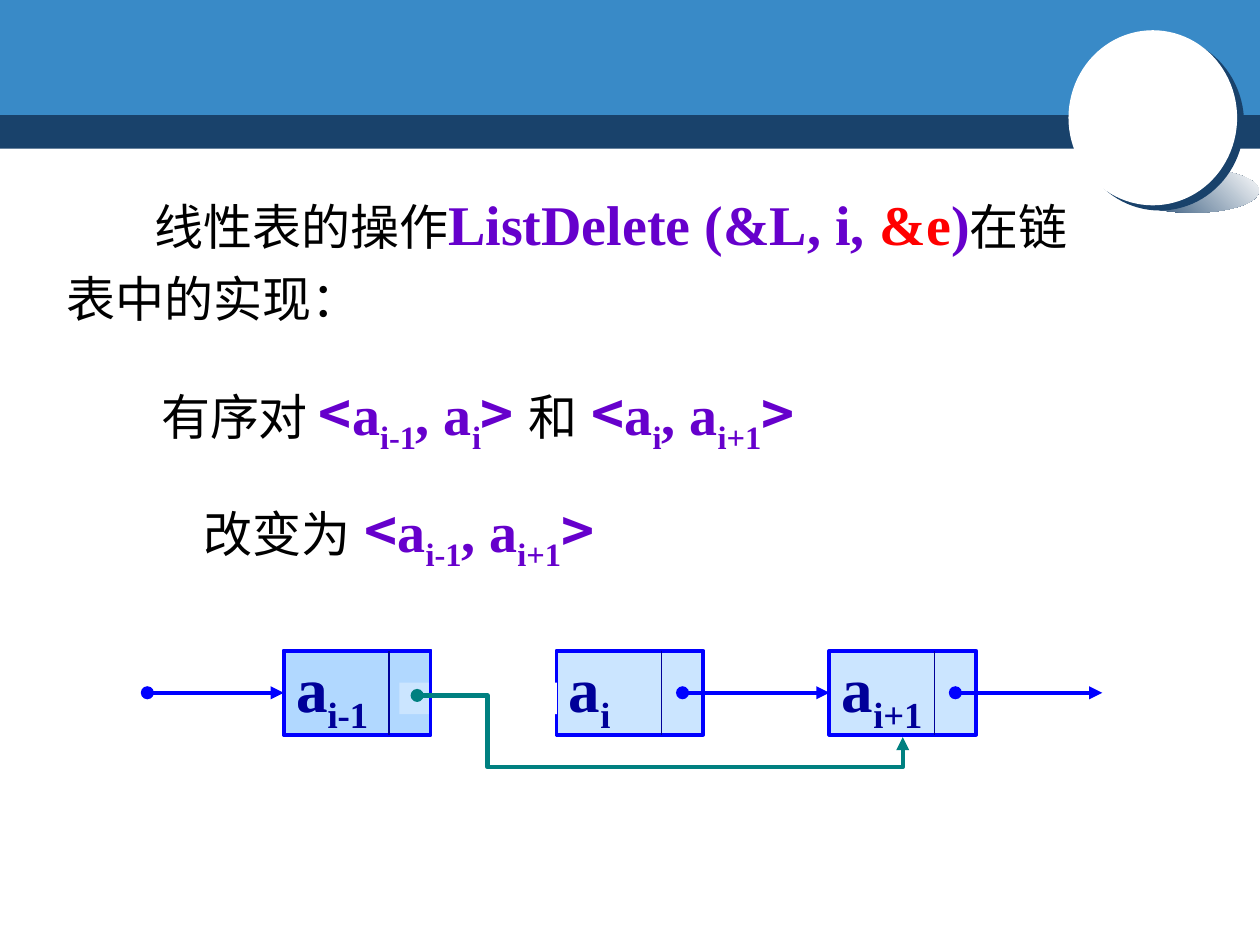
from typing import NamedTuple

from lxml.etree import SubElement
from pptx import Presentation
from pptx.dml.color import RGBColor
from pptx.enum.shapes import MSO_CONNECTOR as Connector, MSO_SHAPE as Preset
from pptx.enum.text import MSO_ANCHOR as Anchor, PP_ALIGN as Align
from pptx.oxml.ns import qn
from pptx.util import Cm, Pt


class Theme(NamedTuple):
    """Colours, fonts and type sizes."""
    navy: str = "19426B"
    sky: str = "398AC7"
    white: str = "FFFFFF"
    black: str = "000000"
    purple: str = "6600CC"
    red: str = "FF0000"
    ink: str = "000099"
    node: str = "99CCFF"
    blue: str = "0000FF"
    teal: str = "008080"
    serif: str = "Times New Roman"
    chinese: str = "Noto Sans CJK SC"
    body: int = 28
    formula: int = 32
    large: int = 36


class Node(NamedTuple):
    """One cell of the linked list: its column and subscript."""
    column: int
    subscript: str


class Box(NamedTuple):
    """Position and size in centimetres."""
    left: float
    top: float
    width: float
    height: float

    def lengths(self):
        """Return the four values as lengths."""
        return [Cm(value) for value in self]


THEME = Theme()
NODE_LEFT, NODE_TOP, NODE_WIDTH, NODE_HEIGHT = 5.72, 13.12, 2.96, 1.69
NODE_PITCH, DIVIDER, POINTER = 5.5, 2.12, 2.54
ARROW_Y = NODE_TOP + NODE_HEIGHT / 2
PREVIOUS, CURRENT, NEXT = Node(0, "i-1"), Node(1, "i"), Node(2, "i+1")


def rgb(colour: str) -> RGBColor:
    """Turn a hex string into a colour."""
    return RGBColor.from_string(colour)


def add_run(paragraph, text: str, *, size=THEME.formula, font=THEME.serif,
            colour=THEME.purple, bold=True, subscript=False) -> None:
    """Add formatted text to a paragraph."""
    run = paragraph.add_run()
    run.text = text
    run.font.size, run.font.bold = Pt(size), bold
    run.font.name = font
    run.font.color.rgb = rgb(colour)
    properties = run.font._element
    SubElement(properties, qn("a:ea")).set("typeface", font)
    if subscript:
        properties.set("baseline", "-25000")


def add_chinese(paragraph, text: str) -> None:
    """Add plain Chinese body text."""
    add_run(paragraph, text, size=THEME.body, font=THEME.chinese,
            colour=THEME.black, bold=False)


def add_gap(paragraph) -> None:
    """Add the wide space between words and formulas."""
    add_run(paragraph, " ", size=THEME.large, font=THEME.chinese, colour=THEME.ink)


def add_pair(paragraph, first: str, second: str) -> None:
    """Add an ordered pair of subscripted elements."""
    add_run(paragraph, "<", font=THEME.chinese)
    add_run(paragraph, "a")
    add_run(paragraph, first, subscript=True)
    add_run(paragraph, ", a")
    add_run(paragraph, second, subscript=True)
    add_run(paragraph, ">", font=THEME.chinese)


def add_filled(slide, preset, box: Box, colour: str):
    """Add a flat shape without outline."""
    shape = slide.shapes.add_shape(preset, *box.lengths())
    shape.shadow.inherit = False
    shape.fill.solid()
    shape.fill.fore_color.rgb = rgb(colour)
    shape.line.fill.background()
    return shape


def add_line(slide, start, end, colour: str, width: float,
             kind=Connector.STRAIGHT, arrow=False):
    """Add a connector, optionally with a dot and an arrowhead."""
    points = [Cm(value) for value in (*start, *end)]
    connector = slide.shapes.add_connector(kind, *points)
    connector.line.color.rgb = rgb(colour)
    connector.line.width = Pt(width)
    SubElement(connector._element.spPr, qn("a:effectLst"))
    if arrow:
        line = connector.line._get_or_add_ln()
        SubElement(line, qn("a:headEnd")).set("type", "oval")
        SubElement(line, qn("a:tailEnd")).set("type", "triangle")
    return connector


def add_text_box(slide, box: Box, line_spacing: float):
    """Add a wrapping text box; return its frame and first paragraph."""
    frame = slide.shapes.add_textbox(*box.lengths()).text_frame
    frame.word_wrap = True
    paragraph = frame.paragraphs[0]
    paragraph.line_spacing = line_spacing
    return frame, paragraph


def node_left(node: Node) -> float:
    """Return the left edge of a node."""
    return NODE_LEFT + node.column * NODE_PITCH


def add_node(slide, node: Node) -> None:
    """Add a list node with its data and pointer fields."""
    left = node_left(node)
    box = Box(left, NODE_TOP, NODE_WIDTH, NODE_HEIGHT)
    shape = add_filled(slide, Preset.RECTANGLE, box, THEME.node)
    fill_colour = shape._element.spPr.find(qn("a:solidFill"))[0]
    SubElement(fill_colour, qn("a:alpha")).set("val", "50000")
    shape.line.color.rgb = rgb(THEME.blue)
    shape.line.width = Pt(2.25)
    frame = shape.text_frame
    frame.word_wrap, frame.vertical_anchor = False, Anchor.MIDDLE
    paragraph = frame.paragraphs[0]
    paragraph.alignment = Align.LEFT
    add_run(paragraph, "a", size=THEME.large, colour=THEME.ink)
    add_run(paragraph, node.subscript, size=THEME.large, colour=THEME.ink, subscript=True)
    divider = left + DIVIDER
    add_line(slide, (divider, NODE_TOP), (divider, NODE_TOP + NODE_HEIGHT), THEME.ink, 0.75)


def add_header(slide) -> None:
    """Add the two bands and the disc with its shadows."""
    add_filled(slide, Preset.RECTANGLE, Box(0, 2.13, 25.4, 0.87), THEME.navy)
    add_filled(slide, Preset.RECTANGLE, Box(0, 0, 25.4, 2.32), THEME.sky)
    glow = add_filled(slide, Preset.OVAL, Box(22.71, 3.4, 2.67, 0.89), THEME.white)
    glow.fill.gradient()
    glow.fill.gradient_angle = 45
    for stop, colour in zip(glow.fill.gradient_stops, (THEME.navy, THEME.white)):
        stop.color.rgb = rgb(colour)
    disc = add_filled(slide, Preset.OVAL, Box(21.54, 0.61, 3.4, 3.53), THEME.white)
    effects = disc._element.spPr.find(qn("a:effectLst"))
    shadow = SubElement(effects, qn("a:outerShdw"), dist=str(Pt(5)), dir=str(37 * 60000))
    SubElement(shadow, qn("a:srgbClr")).set("val", THEME.navy)


def add_statements(slide) -> None:
    """Add the description of the operation and its ordered pairs."""
    _, heading = add_text_box(slide, Box(1.09, 3.43, 21.64, 3.3), 1.2)
    heading._p.get_or_add_pPr().set("indent", str(Cm(1.78)))
    add_chinese(heading, "线性表的操作")
    add_run(heading, "ListDelete (&L, i, ")
    add_run(heading, "&e", colour=THEME.red)
    add_run(heading, ")")
    add_chinese(heading, "在链表中的实现：")

    frame, before = add_text_box(slide, Box(3, 6.71, 16.76, 4.52), 1.4)
    add_chinese(before, "有序对 ")
    add_pair(before, "i-1", "i")
    add_gap(before)
    add_chinese(before, "和")
    add_gap(before)
    add_pair(before, "i", "i+1")
    after = frame.add_paragraph()
    after.line_spacing = 1.4
    after._p.get_or_add_pPr().set("indent", str(Cm(0.85)))
    add_chinese(after, "改变为")
    add_gap(after)
    add_pair(after, "i-1", "i+1")


def add_linked_list(slide) -> None:
    """Add the nodes, their arrows and the new link around node i."""
    for node in (PREVIOUS, CURRENT, NEXT):
        add_node(slide, node)
    ends = [(2.97, NODE_LEFT), (node_left(CURRENT) + POINTER, node_left(NEXT)),
            (node_left(NEXT) + POINTER, node_left(NEXT) + NODE_PITCH)]
    for start, end in ends:
        add_line(slide, (start, ARROW_Y), (end, ARROW_Y), THEME.blue, 2.5, arrow=True)
    add_filled(slide, Preset.RECTANGLE, Box(8.05, 13.76, 3.18, 0.64), THEME.white)
    add_node(slide, PREVIOUS)
    link = add_line(slide, (8.41, 14.02), (18.2, 14.86), THEME.teal, 2.5,
                    kind=Connector.ELBOW, arrow=True)
    geometry = link._element.spPr.find(qn("a:prstGeom"))
    geometry.set("prst", "bentConnector4")
    for name, value in (("adj1", 14500), ("adj2", 171800)):
        SubElement(geometry.find(qn("a:avLst")), qn("a:gd"), name=name, fmla=f"val {value}")


presentation = Presentation()
presentation.slide_width, presentation.slide_height = Cm(25.4), Cm(19.05)
main_slide = presentation.slides.add_slide(presentation.slide_layouts[6])
add_header(main_slide)
add_statements(main_slide)
add_linked_list(main_slide)
presentation.save("out.pptx")
